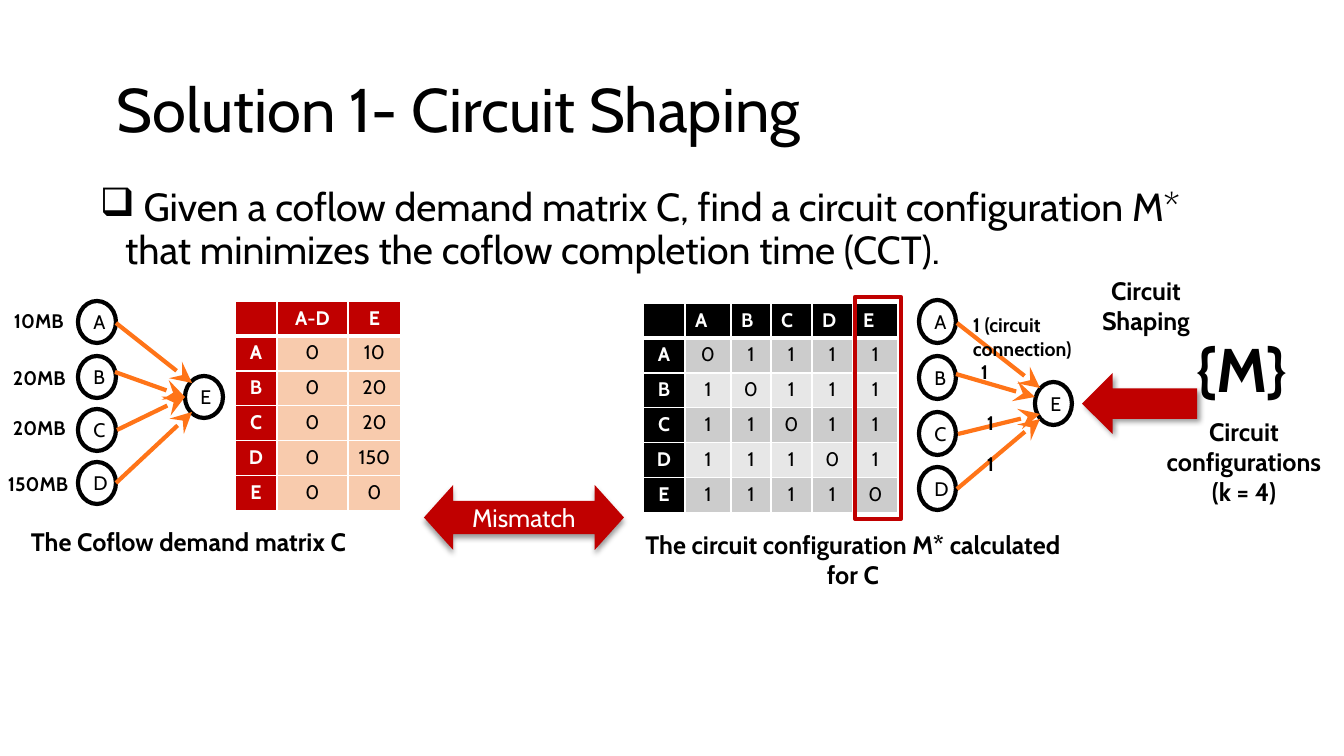
from lxml.etree import SubElement
from pptx import Presentation
from pptx.dml.color import RGBColor
from pptx.enum.shapes import MSO_CONNECTOR as Link, MSO_SHAPE as Shape
from pptx.enum.text import MSO_ANCHOR as Anchor, MSO_AUTO_SIZE as Fit, PP_ALIGN as Align
from pptx.oxml.ns import qn
from pptx.util import Pt

EMU_PER_PIXEL = 914400 / 100.8
BLACK = RGBColor(0x00, 0x00, 0x00)
WHITE = RGBColor(0xFF, 0xFF, 0xFF)
RED = RGBColor(0xC0, 0x00, 0x00)
ORANGE = RGBColor(0xFF, 0x74, 0x18)
PEACH = RGBColor(0xF8, 0xCB, 0xAD)
DARK_GRAY = RGBColor(0xCC, 0xCC, 0xCC)
LIGHT_GRAY = RGBColor(0xE7, 0xE7, 0xE7)


def px(*lengths):
    return [round(length * EMU_PER_PIXEL) for length in lengths]


def element(parent, tag, **attributes):
    return SubElement(parent, qn(tag), {key: str(value) for key, value in attributes.items()})


class Deck:
    font = "Cabin"
    line_width = Pt(3)

    def __init__(self, width, height):
        self.presentation = Presentation()
        self.presentation.slide_width, self.presentation.slide_height = px(width, height)
        self.slide = self.presentation.slides.add_slide(self.presentation.slide_layouts[5])
        self.shapes = self.slide.shapes

    def set_text(self, frame, text, size, color=BLACK, bold=False, align=Align.LEFT, **layout):
        for index, line in enumerate(text.split("\n")):
            paragraph = frame.paragraphs[0] if index == 0 else frame.add_paragraph()
            paragraph.alignment = align
            for name, value in layout.items():
                setattr(paragraph, name, value)
            if not line:
                element(paragraph._p, "a:endParaRPr", sz=size * 100)
                continue
            run = paragraph.add_run()
            run.text = line
            style = {"name": self.font, "size": Pt(size), "bold": bold}
            for name, value in style.items():
                setattr(run.font, name, value)
            run.font.color.rgb = color

    def title(self, text, box):
        title = self.shapes.title
        for name, value in zip(("left", "top", "width", "height"), px(*box)):
            setattr(title, name, value)
        frame = title.text_frame
        frame.auto_size = Fit.NONE
        frame.vertical_anchor = Anchor.MIDDLE
        self.set_text(frame, text, 44, line_spacing=0.9)

    def label(self, text, box, size=14, bold=True, wrap=True, **layout):
        frame = self.shapes.add_textbox(*px(*box)).text_frame
        frame.word_wrap = wrap
        self.set_text(frame, text, size, bold=bold, **layout)
        return frame

    def bullet(self, text, box, mark):
        frame = self.label(text, box, 28, False, line_spacing=0.9, space_before=Pt(10))
        properties = frame.paragraphs[0]._p.get_or_add_pPr()
        properties.set("marL", "228600")
        properties.set("indent", "-228600")
        element(properties, "a:buChar", char=mark)

    def shape(self, kind, box, fill=None, line=None, text="", size=14, color=BLACK, rotation=0):
        shape = self.shapes.add_shape(kind, *px(*box))
        shape.shadow.inherit = False
        shape.rotation = rotation
        if fill is None:
            shape.fill.background()
        else:
            shape.fill.solid()
            shape.fill.fore_color.rgb = fill
        if line is None:
            shape.line.fill.background()
        else:
            shape.line.color.rgb = line
            shape.line.width = self.line_width
        if text:
            shape.text_frame.vertical_anchor = Anchor.MIDDLE
            self.set_text(shape.text_frame, text, size, color, align=Align.CENTER)
        return shape

    def block_arrow(self, kind, box, shadow_angle, **options):
        arrow = self.shape(kind, box, RED, **options)
        effects = arrow._element.spPr.find(qn("a:effectLst"))
        shadow = element(effects, "a:outerShdw", blurRad=Pt(4), dist=Pt(3),
                         dir=shadow_angle * 60000, algn="t", rotWithShape=0)
        swatch = element(shadow, "a:srgbClr", val=BLACK)
        element(swatch, "a:alpha", val=40000)
        return arrow

    def arrow(self, start, end):
        arrow = self.shapes.add_connector(Link.STRAIGHT, *px(*start, *end))
        arrow.line.color.rgb = ORANGE
        arrow.line.width = self.line_width
        element(arrow._element.spPr.find(qn("a:ln")), "a:tailEnd",
                type="stealth", w="lg", len="lg")
        element(arrow._element.spPr, "a:effectLst")

    def network(self, left, tops, hub, size, links):
        for name, top in zip("ABCD", tops):
            self.shape(Shape.OVAL, (left, top, *size), line=BLACK, text=name)
        self.shape(Shape.OVAL, (*hub, *size), line=BLACK, text="E")
        for start, end in links:
            self.arrow(start, end)

    def matrix(self, corner, widths, row_height, rows, head, bands, head_align):
        height = row_height * len(rows)
        table = self.shapes.add_table(len(rows), len(widths),
                                      *px(*corner, sum(widths), height)).table
        for column, width in zip(table.columns, px(*widths)):
            column.width = width
        for r, values in enumerate(rows):
            table.rows[r].height = px(row_height)[0]
            for c, value in enumerate(values):
                cell = table.cell(r, c)
                heading = r == 0 or c == 0
                cell.fill.solid()
                cell.fill.fore_color.rgb = head if heading else bands[(r - 1) % len(bands)]
                self.set_text(cell.text_frame, value, 14, WHITE if heading else BLACK, heading,
                              head_align if r == 0 else Align.CENTER)
                self.borders(cell, r)

    def borders(self, cell, row):
        properties = cell._tc.get_or_add_tcPr()
        widths = {"L": 1, "R": 1, "T": 3 if row == 1 else 1, "B": 3 if row == 0 else 1}
        for position, (side, width) in enumerate(widths.items()):
            border = element(properties, f"a:ln{side}", w=Pt(width))
            element(element(border, "a:solidFill"), "a:srgbClr", val=WHITE)
            properties.insert(position, border)


deck = Deck(1344, 756)
deck.title(" Solution 1- Circuit Shaping", (93, 40, 1159, 146))

nodes = "ABCDE"
circuits = [["", *nodes]] + [[a, *("0" if a == b else "1" for b in nodes)] for a in nodes]
deck.matrix((643, 303), (42, 46, 40, 41, 41, 45), 35, circuits, BLACK,
            (DARK_GRAY, LIGHT_GRAY), Align.LEFT)

deck.bullet(" Given a coflow demand matrix C, find a circuit configuration M* "
            "that minimizes the coflow completion time (CCT).", (90, 183, 1159, 122), "❑")
deck.label("The Coflow demand matrix C", (21, 521, 581, 40), 18)
deck.label("The circuit configuration M* calculated for C", (630, 524, 446, 71), 18,
           align=Align.CENTER)

deck.network(919, (300, 356, 412, 467), (1035, 382), (37, 43), (
    ((957, 323), (1040, 388)), ((956, 374), (1035, 397)),
    ((958, 434), (1040, 414)), ((957, 489), (1040, 419))))
for connection, box in (
        ("1", (971, 355, 60, 32)), ("1 (circuit connection)", (963, 308, 161, 54)),
        ("1", (977, 406, 60, 32)), ("1", (977, 447, 60, 32))):
    deck.label(connection, box)
deck.shape(Shape.RECTANGLE, (855, 297, 46, 222), line=RED)

deck.network(78, (301, 356, 409, 462), (185, 376), (38, 42), (
    ((116, 323), (192, 383)), ((115, 372), (185, 397)),
    ((117, 430), (185, 397)), ((116, 483), (192, 412))))
for demand, left, top in (("10MB", 4, 304), ("20MB", 3, 361), ("20MB", 3, 411), ("150MB", -2, 467)):
    deck.label(demand, (left, top, 103, 32))

demands = ("10", "20", "20", "150", "0")
deck.matrix((235, 301), (42, 71, 53), 35,
            [["", "A-D", "E"]] + [[node, "0", demand] for node, demand in zip(nodes, demands)],
            RED, (PEACH,), Align.CENTER)

deck.label("Circuit configurations\n(k = 4)", (1143, 411, 202, 102), 18, align=Align.CENTER)
deck.label("{M}", (1187, 326, 123, 84), 44, wrap=False)
deck.block_arrow(Shape.RIGHT_ARROW, (1082, 373, 115, 61), 45, rotation=180)
deck.label("Circuit Shaping", (1081, 270, 130, 71), 18, align=Align.CENTER)
mismatch = deck.block_arrow(Shape.LEFT_RIGHT_ARROW, (424, 485, 200, 65), 90,
                            text="Mismatch", size=18, color=WHITE)
for index, ratio in enumerate((0.51, 0.45)):
    mismatch.adjustments[index] = ratio

deck.presentation.save("out.pptx")
